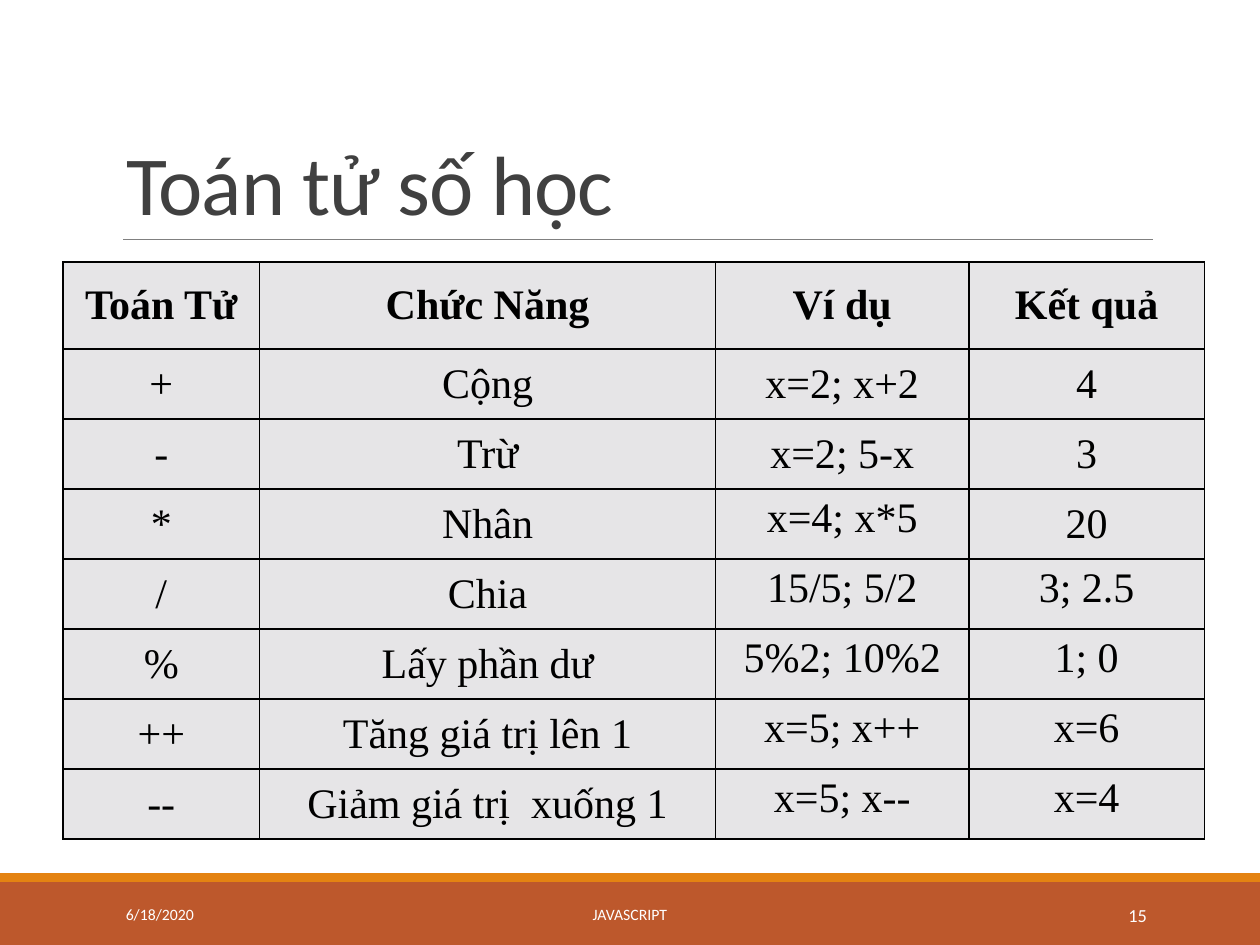
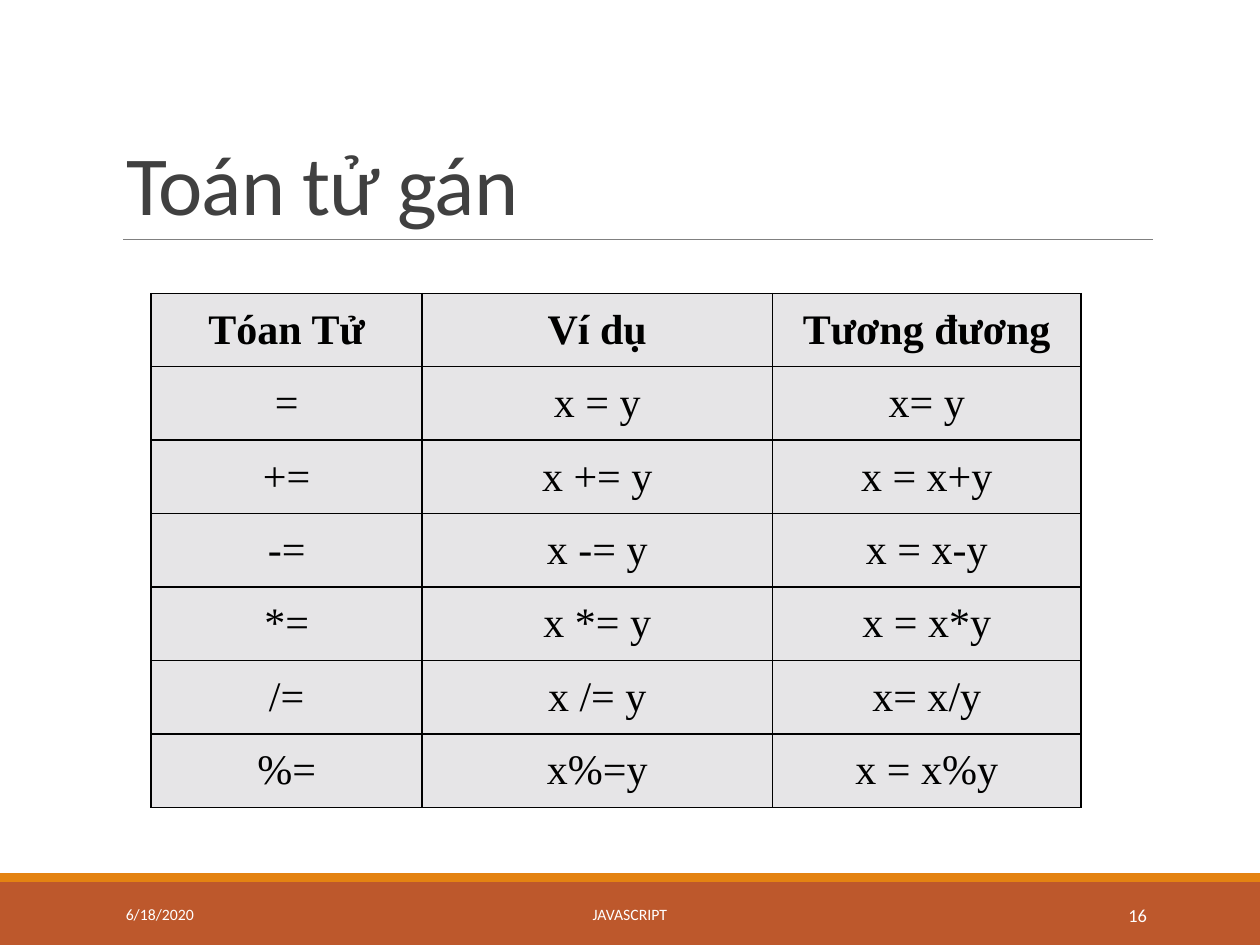
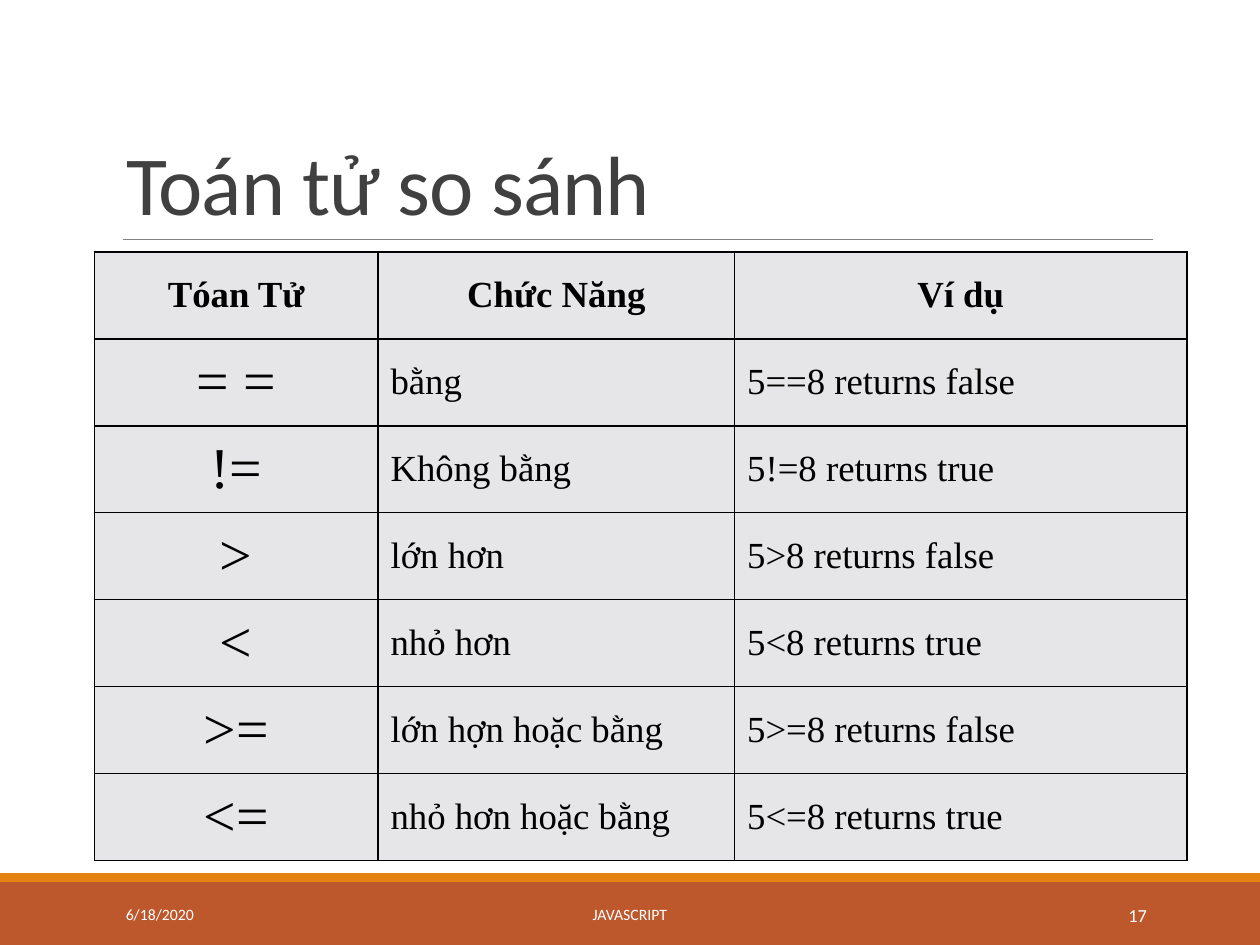
from pptx import Presentation
from pptx.dml.color import RGBColor
from pptx.enum.shapes import MSO_CONNECTOR, MSO_SHAPE
from pptx.enum.text import MSO_ANCHOR as Anchor, MSO_AUTO_SIZE, PP_ALIGN as Align
from pptx.oxml.ns import qn
from pptx.util import Inches, Pt
from lxml.etree import SubElement

COLORS = {
    "band": "BD582C", "stripe": "E48312", "rule": "808080", "title": "404040",
    "footer": "FFFFFF", "cell": "E6E5E7", "ink": "000000",
}
HEADING_FONT, TABLE_FONT = "Calibri", "Times New Roman"
DATE, COURSE, FIRST_NUMBER = "6/18/2020", "JAVASCRIPT", 15
HANGING = Inches(0.38)

# Slide content: top_from gives, per column, the first row set at the top of its cell
SLIDES = [
    {
        "title": "Toán tử số học",
        "at": (0.5, 2.08), "height": 4.58, "header_height": 0.69,
        "columns": [1.56, 3.62, 2.01, 1.87],
        "size": 24, "operator_size": 24, "body_align": Align.CENTER,
        "top_from": {2: 3, 3: 4},
        "rows": [
            ("Toán Tử", "Chức Năng", "Ví dụ", "Kết quả"),
            ("+", "Cộng", "x=2; x+2", "4"),
            ("-", "Trừ", "x=2; 5-x", "3"),
            ("*", "Nhân", "x=4; x*5", "20"),
            ("/", "Chia", "15/5; 5/2", "3; 2.5"),
            ("%", "Lấy phần dư", "5%2; 10%2", "1; 0"),
            ("++", "Tăng giá trị lên 1", "x=5; x++", "x=6"),
            ("--", "Giảm giá trị  xuống 1", "x=5; x--", "x=4"),
        ],
    },
    {
        "title": "Toán tử gán",
        "at": (1.2, 2.33), "height": 4.08, "header_height": 0.58,
        "columns": [2.15, 2.78, 2.45],
        "size": 24, "operator_size": 24, "body_align": Align.CENTER,
        "top_from": {},
        "rows": [
            ("Tóan Tử", "Ví dụ", "Tương đương"),
            ("=", "x = y", "x= y"),
            ("+=", "x += y", "x = x+y"),
            ("-=", "x -= y", "x = x-y"),
            ("*=", "x *= y", "x = x*y"),
            ("/=", "x /= y", "x= x/y"),
            ("%=", "x%=y", "x = x%y"),
        ],
    },
    {
        "title": "Toán tử so sánh",
        "at": (0.75, 2), "height": 4.83, "header_height": 0.69,
        "columns": [2.25, 2.83, 3.59],
        "size": 21, "operator_size": 33, "body_align": Align.LEFT,
        "top_from": {},
        "rows": [
            ("Tóan Tử", "Chức Năng", "Ví dụ"),
            ("= =", "bằng", "5==8 returns false"),
            ("!=", "Không bằng", "5!=8 returns true"),
            (">", "lớn hơn", "5>8 returns false"),
            ("<", "nhỏ hơn", "5<8 returns true"),
            (">=", "lớn hợn hoặc bằng", "5>=8 returns false"),
            ("<=", "nhỏ hơn hoặc bằng", "5<=8 returns true"),
        ],
    },
]


def write(paragraph, text, font, size, color, align, bold=False):
    paragraph.alignment = align
    run = paragraph.add_run()
    run.text = text
    run.font.name, run.font.size, run.font.bold = font, Pt(size), bold
    run.font.color.rgb = RGBColor.from_string(COLORS[color])
    return run


def add_borders(cell):
    props = cell._tc.get_or_add_tcPr()
    for index, side in enumerate(("lnL", "lnR", "lnT", "lnB")):
        border = props.makeelement(qn(f"a:{side}"), {"w": str(Pt(1))})
        fill = SubElement(border, qn("a:solidFill"))
        SubElement(fill, qn("a:srgbClr"), val=COLORS["ink"])
        props.insert(index, border)


prs = Presentation()
prs.slide_width, prs.slide_height = Inches(10), Inches(7.5)
title_only = prs.slide_layouts[5]

for number, content in enumerate(SLIDES, FIRST_NUMBER):
    slide = prs.slides.add_slide(title_only)
    shapes = slide.shapes

    # Bottom bands
    for color, top, height in (("band", 7, 0.5), ("stripe", 6.93, 0.07)):
        band = shapes.add_shape(MSO_SHAPE.RECTANGLE, 0, Inches(top),
                                prs.slide_width, Inches(height))
        band.shadow.inherit = False
        band.fill.solid()
        band.fill.fore_color.rgb = RGBColor.from_string(COLORS[color])
        band.line.fill.background()

    # Rule under the title
    rule = shapes.add_connector(MSO_CONNECTOR.STRAIGHT, Inches(0.98), Inches(1.9),
                                Inches(9.15), Inches(1.9))
    rule.line.color.rgb = RGBColor.from_string(COLORS["rule"])
    rule.line.width = Pt(0.5)
    SubElement(rule._element.spPr, qn("a:effectLst"))

    # Title
    title = shapes.title
    title.left, title.top = Inches(0.9), Inches(0.31)
    title.width, title.height = Inches(8.25), Inches(1.59)
    title.text_frame.auto_size = MSO_AUTO_SIZE.NONE
    title.text_frame.vertical_anchor = Anchor.BOTTOM
    heading = title.text_frame.paragraphs[0]
    heading.line_spacing = 0.85
    heading_run = write(heading, content["title"], HEADING_FONT, 48, "title", Align.LEFT)
    heading_run.font._element.set("spc", "-50")

    # Operator table
    rows, columns = content["rows"], content["columns"]
    left, top = content["at"]
    table = shapes.add_table(len(rows), len(columns), Inches(left), Inches(top),
                             Inches(sum(columns)), Inches(content["height"])).table
    table.first_row = table.horz_banding = False
    for column, width in zip(table.columns, columns):
        column.width = Inches(width)
    header_height = content["header_height"]
    body_height = (content["height"] - header_height) / (len(rows) - 1)

    for r, row in enumerate(rows):
        table.rows[r].height = Inches(body_height if r else header_height)
        for c, text in enumerate(row):
            cell = table.cell(r, c)
            cell.fill.solid()
            cell.fill.fore_color.rgb = RGBColor.from_string(COLORS["cell"])
            add_borders(cell)
            at_top = r >= content["top_from"].get(c, len(rows))
            cell.vertical_anchor = Anchor.TOP if at_top else Anchor.MIDDLE
            is_operator = r > 0 and c == 0
            size = content["operator_size"] if is_operator else content["size"]
            align = content["body_align"] if r and c else Align.CENTER
            paragraph = cell.text_frame.paragraphs[0]
            write(paragraph, text, TABLE_FONT, size, "ink", align, bold=r == 0)
            indents = paragraph._p.get_or_add_pPr()
            indents.set("marL", str(HANGING))
            indents.set("indent", str(-HANGING))

    # Footer: date, course, slide number
    for text, left, width, size, align in (
        (DATE, 0.9, 2.03, 9, Align.LEFT),
        (COURSE, 3.02, 3.96, 9, Align.CENTER),
        (str(number), 8.12, 1.08, 10.5, Align.RIGHT),
    ):
        footer = shapes.add_textbox(Inches(left), Inches(7.06),
                                    Inches(width), Inches(0.4)).text_frame
        footer.word_wrap = True
        footer.vertical_anchor = Anchor.MIDDLE
        write(footer.paragraphs[0], text, HEADING_FONT, size, "footer", align)

prs.save("out.pptx")
